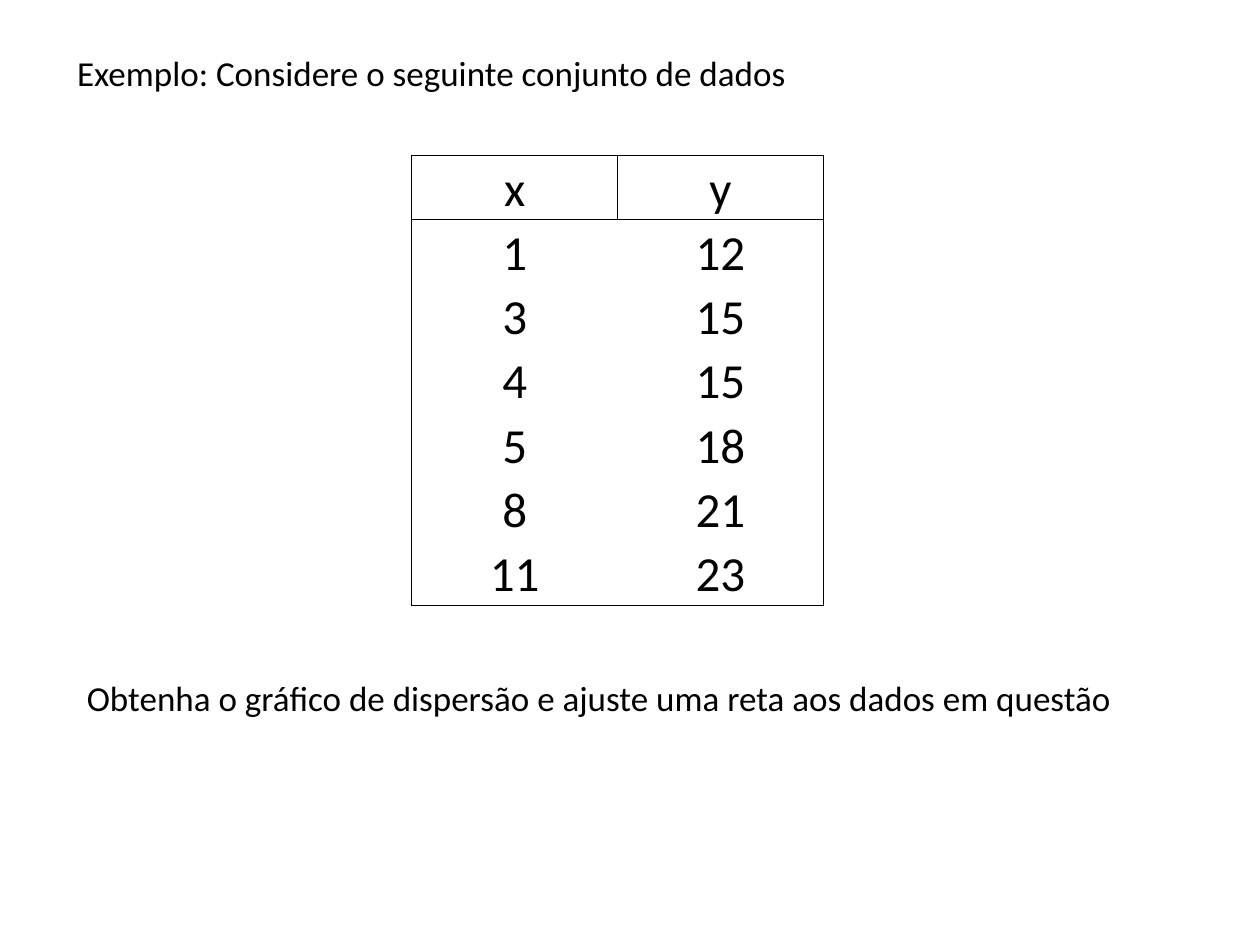
from dataclasses import dataclass

from lxml import etree
from pptx import Presentation
from pptx import util as u
from pptx.dml.color import RGBColor
from pptx.enum import text
from pptx.oxml.ns import qn


@dataclass(frozen=True)
class Theme:
    font: str = "Calibri"
    ink: str = "000000"
    text_size: float = 20
    table_size: float = 28
    rule: float = 0.5


class SlideBuilder:
    def __init__(self, slide, theme):
        self.s = slide
        self.theme = theme

    def style(self, p, size, align):
        p.alignment = align
        for r in p.runs:
            r.font.name = self.theme.font
            r.font.size = u.Pt(size)
            r.font.color.rgb = RGBColor.from_string(self.theme.ink)

    def fill_text(self, sp, words):
        tf = sp.text_frame
        tf.text = words
        tf.word_wrap = True
        tf.auto_size = text.MSO_AUTO_SIZE.NONE
        tf.vertical_anchor = text.MSO_ANCHOR.TOP
        self.style(tf.paragraphs[0], self.theme.text_size, text.PP_ALIGN.LEFT)

    def title(self, words, left, top, width, height):
        sp = self.s.shapes.title
        sp.left, sp.top, sp.width, sp.height = map(u.Cm, (left, top, width, height))
        self.fill_text(sp, words)

    def text_box(self, words, left, top, width, height):
        sp = self.s.shapes.add_textbox(*map(u.Cm, (left, top, width, height)))
        self.fill_text(sp, words)

    def borders(self, cell, sides):
        tcPr = cell._tc.get_or_add_tcPr()
        for i, side in enumerate("LRTB"):
            ln = etree.Element(qn(f"a:ln{side}"), w=str(u.Pt(self.theme.rule)))
            if side in sides:
                fill = etree.SubElement(ln, qn("a:solidFill"))
                etree.SubElement(fill, qn("a:srgbClr"), val=self.theme.ink)
            else:
                etree.SubElement(ln, qn("a:noFill"))
            tcPr.insert(i, ln)

    def table(self, rows, left, top, width, height):
        last_row, last_col = len(rows) - 1, len(rows[0]) - 1
        frame = self.s.shapes.add_table(
            len(rows), len(rows[0]), *map(u.Cm, (left, top, width, height)))
        tbl = frame.table
        tbl.first_row = tbl.horz_banding = False
        for i, row in enumerate(rows):
            for j, value in enumerate(row):
                cell = tbl.cell(i, j)
                cell.text = str(value)
                cell.fill.background()
                cell.vertical_anchor = text.MSO_ANCHOR.BOTTOM
                cell.margin_left = cell.margin_right = cell.margin_top = u.Cm(0.03)
                cell.margin_bottom = 0
                self.style(cell.text_frame.paragraphs[0],
                           self.theme.table_size, text.PP_ALIGN.CENTER)
                header = i == 0
                drawn = {"L": header or j == 0, "R": header or j == last_col,
                         "T": i <= 1, "B": header or i == last_row}
                self.borders(cell, [side for side, on in drawn.items() if on])


prs = Presentation()
prs.slide_width, prs.slide_height = u.Cm(25.4), u.Cm(19.05)
s = prs.slides.add_slide(prs.slide_layouts[5])
page = SlideBuilder(s, Theme())

data = [("x", "y"), (1, 12), (3, 15), (4, 15), (5, 18), (8, 21), (11, 23)]

page.title("Exemplo: Considere o seguinte conjunto de dados", 1.3, 0.91, 15.09, 1.88)
page.table(data, 8.3, 3.13, 8.3, 9.07)
page.text_box("Obtenha o gráfico de dispersão e ajuste uma reta aos dados em questão",
              1.5, 13.51, 21.36, 1.88)

prs.save("out.pptx")
